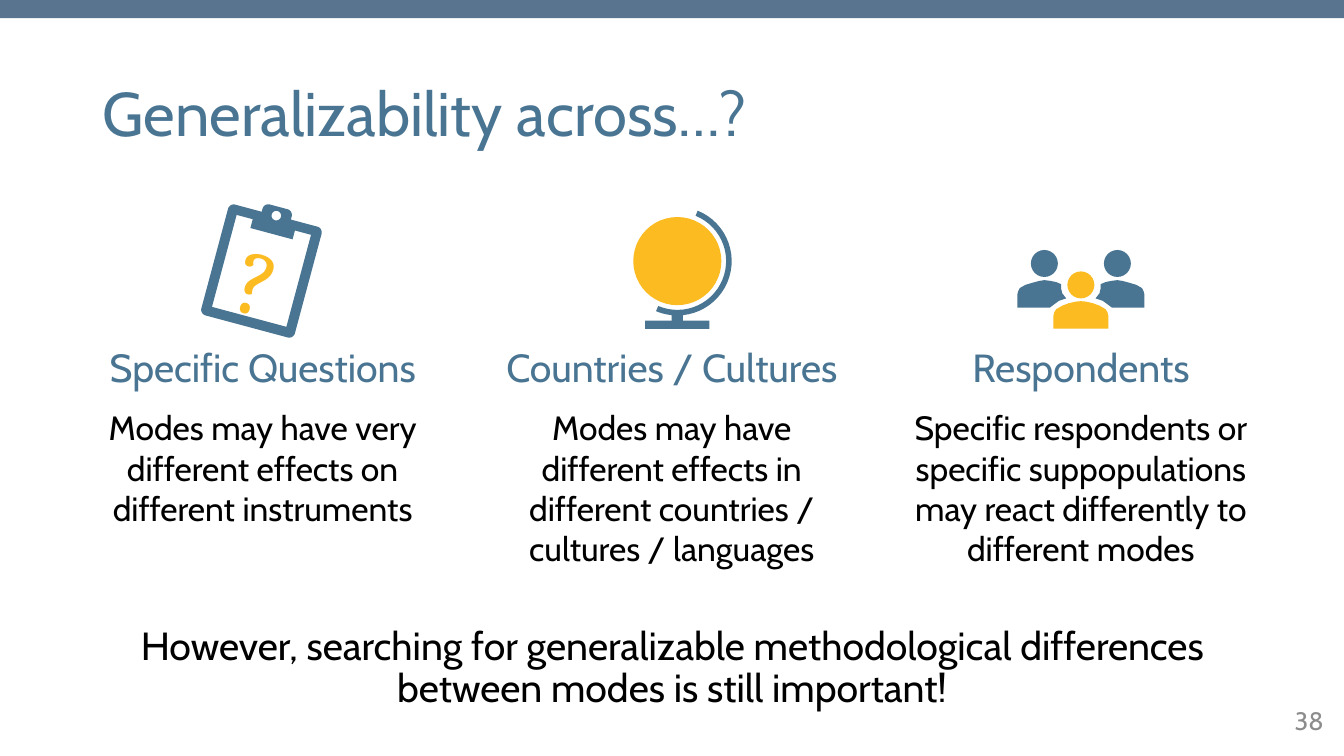
import math
import pptx
import pptx.util
import pptx.dml.color
import pptx.enum.shapes
import pptx.enum.text
import pptx.oxml.ns
import lxml.etree

Cm, Pt = pptx.util.Cm, pptx.util.Pt
SHAPE = pptx.enum.shapes.MSO_SHAPE
ALIGN = pptx.enum.text.PP_ALIGN
ANCHOR = pptx.enum.text.MSO_ANCHOR
COLORS = {"bar": "58748F", "blue": "497593", "yellow": "FBBB21",
          "text": "000000", "number": "8C8C8C"}


def rgb(name):
    """Return the named colour."""
    return pptx.dml.color.RGBColor.from_string(COLORS[name])


def apply(obj, values):
    """Set each attribute in values on obj."""
    for key, value in values.items():
        setattr(obj, key, value)


def write(p, text, size, color, font="Cabin", **values):
    """Fill a paragraph with one formatted run."""
    apply(p, values)
    r = p.add_run()
    r.text = text
    apply(r.font, {"name": font, "size": Pt(size)})
    r.font.color.rgb = rgb(color)


def paint(sp, color):
    """Give a shape a plain fill."""
    sp.shadow.inherit = False
    sp.fill.solid()
    sp.fill.fore_color.rgb = rgb(color)
    sp.line.fill.background()
    return sp


def arc(cx, cy, radius, start, end):
    """Return points along an arc, with angles in degrees."""
    steps = max(6, abs(end - start) // 6)
    angles = [math.radians(start + (end - start) * i / steps) for i in range(steps + 1)]
    return [(cx + radius * math.cos(a), cy + radius * math.sin(a)) for a in angles]


def outline(s, x, y, contours, color):
    """Draw closed contours given in centimetres from x, y."""
    contours = [[(Cm(x + px), Cm(y + py)) for px, py in c] for c in contours]
    builder = s.shapes.build_freeform(*contours[0][0], scale=1.0)
    for i, points in enumerate(contours):
        if i:
            builder.move_to(*points[0])
        builder.add_line_segments(points[1:], close=True)
    return paint(builder.convert_to_shape(), color)


def disc(s, cx, cy, radius, color):
    """Draw a filled circle around a centre."""
    d = Cm(2 * radius)
    paint(s.shapes.add_shape(SHAPE.OVAL, Cm(cx - radius), Cm(cy - radius), d, d), color)


def clipboard(s, cx, y):
    """Draw the tilted clipboard with its question mark."""
    w, h, edge, top, c = 2.44, 3.12, 0.25, 0.23, 0.15
    board = (arc(c, top + c, c, 180, 270) + [(0.84, top)]
             + arc(0.84 + c, c, c, 180, 270) + arc(1.6 - c, c, c, 270, 360)
             + [(1.6, top)] + arc(w - c, top + c, c, 270, 360)
             + arc(w - c, h - c, c, 0, 90) + arc(c, h - c, c, 90, 180))
    paper = [(edge, 0.47), (0.67, 0.47), (0.67, 0.7), (1.77, 0.7), (1.77, 0.47),
             (w - edge, 0.47), (w - edge, h - edge), (edge, h - edge)]
    hole = arc(w / 2, top, 0.12, 0, 360)
    sp = outline(s, cx - w / 2, y, [board, paper, hole], "blue")
    sp.rotation = 15
    apply(sp.text_frame, {"word_wrap": True, "vertical_anchor": ANCHOR.MIDDLE,
                          "margin_left": Cm(0.25), "margin_right": Cm(0.25),
                          "margin_top": Cm(0.79), "margin_bottom": Cm(0.13)})
    write(sp.text_frame.paragraphs[0], "?", 66, "yellow", "Cambria", alignment=ALIGN.CENTER)


def globe(s, cx, y):
    """Draw the globe on its stand."""
    cx, cy, outer = cx + 0.14, y + 1.42, 1.37
    foot = [(0.14, 1.5), (0.81, 1.5), (0.81, 1.71),
            (-0.81, 1.71), (-0.81, 1.5), (-0.14, 1.5)]
    stand = (arc(0, 0, outer, -68, 84) + foot + arc(0, 0, outer, 96, 113)
             + arc(0, 0, 1.23, 113, -68))
    outline(s, cx, cy, [stand], "blue")
    disc(s, cx, cy, 1.11, "yellow")


def people(s, cx, y):
    """Draw a group of three people."""
    back = [(0.5, 0.1), (0.62, 0.05), (0.76, 0.02), (0.92, 0), (1.05, 0.02), (1.2, 0.06),
            (1.4, 0.12), (1.54, 0.2), (1.58, 0.28), (1.6, 0.36), (1.6, 0.69), (0.78, 0.69),
            (0.7, 0.63), (0.55, 0.52), (0.37, 0.46), (0.47, 0.33), (0.5, 0.2)]
    half = [(0.12, 0.01), (0.3, 0.05), (0.46, 0.11), (0.62, 0.2),
            (0.67, 0.28), (0.69, 0.36), (0.69, 0.69)]
    for side in (-1, 1):
        disc(s, cx + side * 0.92, y + 1.48, 0.34, "blue")
        outline(s, cx, y + 1.9, [[(side * px, py) for px, py in back]], "blue")
    front = [(-px, py) for px, py in reversed(half)] + [(0, 0)] + half
    outline(s, cx, y + 2.43, [front], "yellow")
    disc(s, cx, y + 2.02, 0.34, "yellow")


def text_box(s, x, y, w, h):
    """Add a wrapping text box and return its frame."""
    tf = s.shapes.add_textbox(Cm(x), Cm(y), Cm(w), Cm(h)).text_frame
    tf.word_wrap = True
    return tf


def column(s, x, y, w, h, icon, heading, text):
    """Place an icon, a heading and its explanation."""
    icon(s, x + w / 2, y)
    tf = text_box(s, x, y + 3.37, w, h - 3.37)
    write(tf.paragraphs[0], heading, 28, "blue", alignment=ALIGN.CENTER, space_after=Pt(12))
    write(tf.add_paragraph(), text, 24, "text", alignment=ALIGN.CENTER)


def placeholder(sp, x, y, w, h, anchor, text, size, color, align):
    """Move a placeholder and fill it with one paragraph."""
    apply(sp, {"left": Cm(x), "top": Cm(y), "width": Cm(w), "height": Cm(h)})
    apply(sp.text_frame, {"word_wrap": True, "vertical_anchor": anchor,
                          "auto_size": pptx.enum.text.MSO_AUTO_SIZE.NONE})
    p = sp.text_frame.paragraphs[0]
    pPr = p._p.get_or_add_pPr()
    pPr.set("marL", "0")
    pPr.set("indent", "0")
    lxml.etree.SubElement(pPr, pptx.oxml.ns.qn("a:buNone"))
    write(p, text, size, color, alignment=align, line_spacing=0.9, space_before=Pt(0))


def generalizability_slide(prs):
    """Build the slide with three columns and a conclusion."""
    s = prs.slides.add_slide(prs.slide_layouts[1])
    paint(s.shapes.add_shape(SHAPE.RECTANGLE, 0, 0, prs.slide_width, Cm(0.46)), "bar")
    title, body = s.placeholders
    placeholder(title, 2.33, 1.65, 29.21, 2.59, ANCHOR.MIDDLE,
                "Generalizability across…?", 44, "blue", ALIGN.LEFT)
    placeholder(body, 2.33, 15.65, 29.21, 2.59, ANCHOR.TOP,
                "However, searching for generalizable methodological differences "
                "between modes is still important!", 28, "text", ALIGN.CENTER)
    columns = [
        (clipboard, "Specific Questions",
         "Modes may have very different effects on different instruments"),
        (globe, "Countries / Cultures",
         "Modes may have different effects in different countries / cultures / languages"),
        (people, "Respondents",
         "Specific respondents or specific suppopulations may react differently "
         "to different modes")]
    for i, parts in enumerate(columns):
        column(s, 1.73 + i * 10.31, 5.16, 9.78, 10.91, *parts)
    tf = text_box(s, 23.93, 17.65, 9.68, 1.02)
    tf.vertical_anchor = ANCHOR.MIDDLE
    write(tf.paragraphs[0], "38", 18, "number", alignment=ALIGN.RIGHT)


def main():
    """Create and save the presentation."""
    prs = pptx.Presentation()
    apply(prs, {"slide_width": Cm(33.87), "slide_height": Cm(19.05)})
    generalizability_slide(prs)
    prs.save("out.pptx")


if __name__ == "__main__":
    main()
